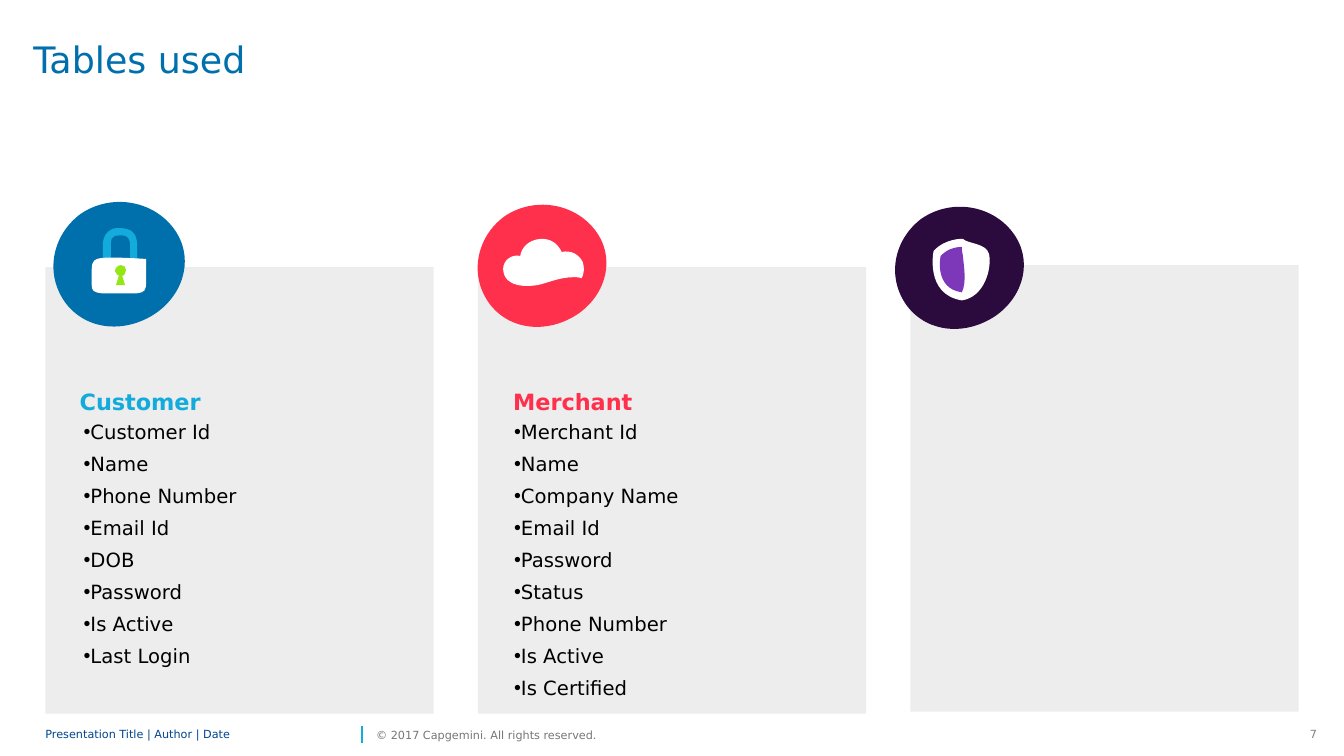
"""Build the slide on the tables used: three grey panels with icons and field lists."""
from dataclasses import dataclass
from lxml.etree import SubElement
from pptx import Presentation
from pptx.dml.color import RGBColor
from pptx.enum.shapes import MSO_CONNECTOR, MSO_SHAPE
from pptx.enum.text import MSO_ANCHOR, MSO_AUTO_SIZE, PP_ALIGN
from pptx.oxml.ns import qn
from pptx.util import Pt

PX = 9144


@dataclass(frozen=True)
class Theme:
    """Colours, fonts and type sizes."""
    font: str = "DejaVu Sans"
    dot: str = "Arial"
    blue: str = "0070AD"
    sky: str = "12ABDB"
    red: str = "FF304C"
    plum: str = "2B0A3D"
    violet: str = "7D38BA"
    lime: str = "95E616"
    navy: str = "00458D"
    panel: str = "EDEDED"
    white: str = "FFFFFF"
    black: str = "000000"
    gray: str = "808080"
    slate: str = "767676"
    title: int = 26
    head: int = 16
    body: int = 14
    foot: int = 8


theme = Theme()
deck = Presentation()
deck.slide_width, deck.slide_height = 1333 * PX, 750 * PX
slide = deck.slides.add_slide(deck.slide_layouts[5])
shapes = slide.shapes


def write(spot, lines, size, color, shape=None, bold=False, anchor=MSO_ANCHOR.TOP,
          align=PP_ALIGN.LEFT, space=None, after=0, dots=False, wrap=True, pad=(0, 0)):
    """Put lines of text in a box at a spot."""
    spot = [n * PX for n in spot]
    shape = shape or shapes.add_textbox(*spot)
    shape.left, shape.top, shape.width, shape.height = spot
    frame = shape.text_frame
    frame.auto_size = MSO_AUTO_SIZE.NONE
    frame.word_wrap = wrap
    frame.vertical_anchor = anchor
    frame.margin_left = frame.margin_right = pad[0] * PX
    frame.margin_top = frame.margin_bottom = pad[1] * PX
    for i, line in enumerate(lines):
        para = frame.add_paragraph() if i else frame.paragraphs[0]
        para.alignment = align
        para.space_after = Pt(after)
        if space:
            para.line_spacing = space
        if dots:
            props = para._p.get_or_add_pPr()
            SubElement(props, qn("a:buFont"), typeface=theme.dot)
            SubElement(props, qn("a:buChar"), char="•")
        run = para.add_run()
        run.text = line
        run.font.name = theme.font
        run.font.size = Pt(size)
        run.font.bold = bold
        run.font.color.rgb = RGBColor.from_string(color)


def draw(group, color, start, rows, left=0, top=0, scale=1):
    """Draw a filled outline; rows of six numbers are curves, rows of two are lines."""
    flat = [n for row in rows for n in row]
    points = [((left + x * scale) * PX, (top + y * scale) * PX)
              for x, y in [start, *zip(flat[::2], flat[1::2])]]
    pen = group.shapes.build_freeform(*points[0])
    pen.add_line_segments(points[1:], close=True)
    form = pen.convert_to_shape()
    form.shadow.inherit = False
    form.fill.solid()
    form.fill.fore_color.rgb = RGBColor.from_string(color)
    form.line.fill.background()
    steps = list(form._element.iter(qn("a:lnTo")))
    for row in rows:
        first, *rest = [steps.pop(0) for _ in range(len(row) // 2)]
        if rest:
            first.tag = qn("a:cubicBezTo")
        for step in rest:
            first.append(step[0])
            step.getparent().remove(step)


for i, top in enumerate((265, 265, 263)):
    panel = shapes.add_shape(MSO_SHAPE.RECTANGLE, (45 + 429 * i) * PX, top * PX,
                             385 * PX, 443 * PX)
    panel.shadow.inherit = False
    panel.fill.solid()
    panel.fill.fore_color.rgb = RGBColor.from_string(theme.panel)
    panel.line.fill.background()

write((1289, 717, 27, 24), ["7"], theme.foot, theme.gray, align=PP_ALIGN.RIGHT,
      wrap=False, pad=(10, 5))

rule = shapes.add_connector(MSO_CONNECTOR.STRAIGHT, 359 * PX, 737 * PX, 359 * PX, 720 * PX)
rule.line.width = Pt(1)
rule.line.color.rgb = RGBColor.from_string(theme.sky)
SubElement(rule._element.spPr, qn("a:effectLst"))

write((45, 717, 309, 24), ["Presentation Title | Author | Date"], theme.foot, theme.navy,
      anchor=MSO_ANCHOR.MIDDLE, space=0.85)
write((373, 717, 243, 24), ["© 2017 Capgemini. All rights reserved."], theme.foot,
      theme.slate, anchor=MSO_ANCHOR.MIDDLE, wrap=False)

write((33, 42, 708, 94), ["Tables used"], theme.title, theme.blue,
      shape=shapes.title, space=0.9)

tables = [
    (79, 83, "Customer", theme.sky,
     ["Customer Id", "Name", "Phone Number", "Email Id", "DOB", "Password",
      "Is Active", "Last Login"]),
    (509, 510, "Merchant", theme.red,
     ["Merchant Id", "Name", "Company Name", "Email Id", "Password", "Status",
      "Phone Number", "Is Active", "Is Certified"]),
]
for left, inner, name, color, fields in tables:
    write((left, 364, 316, 71), [name], theme.head, color, bold=True,
          anchor=MSO_ANCHOR.MIDDLE, space=Pt(18), after=6)
    write((inner, 417, 314, 275), fields, theme.body, theme.black, after=6, dots=True)

blob = [(0, 79, 7, 41, 35, 20), (64, 0, 104, 6, 125, 33),
        (146, 60, 137, 96, 109, 116), (80, 136, 42, 134, 21, 107)]
shield = [(938, 236, 955, 237, 955, 237), (960, 242, 978, 241, 981, 252),
          (984, 267, 976, 295, 954, 298), (917, 292, 926, 249, 926, 249)]
half = [(955, 253, 955, 253, 955, 253), (955, 253, 955, 253, 955, 253),
        (954, 249, 954, 247, 954, 245), (952, 245, 941, 245, 933, 254),
        (933, 254, 926, 286, 954, 290), (959, 280, 956, 264, 955, 253)]
cloud = [(574, 252, 566, 248, 557, 250), (557, 250, 552, 236, 536, 237),
         (524, 238, 517, 246, 516, 254), (509, 252, 499, 257, 499, 267),
         (499, 267, 499, 267, 499, 267), (500, 287, 526, 284, 532, 283),
         (532, 283, 532, 283, 532, 283), (540, 282, 554, 275, 569, 275),
         (572, 275, 575, 275, 577, 276), (579, 272, 580, 266, 578, 260)]
shackle = [(102, 266, 102, 266, 102, 266), (102, 260, 102, 244, 102, 244),
           (102, 241, 102, 231, 112, 227), (116, 226, 120, 226, 125, 227),
           (132, 228, 136, 234, 136, 243), (136, 266, 136, 266, 136, 266),
           (129, 266, 129, 266, 129, 266), (129, 243, 129, 243, 129, 243),
           (129, 238, 127, 235, 124, 234), (120, 233, 117, 234, 114, 234),
           (111, 235, 110, 237, 110, 244), (110, 244, 110, 260, 110, 266)]
lock = [(107, 291, 131, 291, 136, 291), (143, 290, 145, 289, 145, 279),
        (145, 279, 145, 265, 145, 257), (132, 256, 109, 255, 101, 256),
        (94, 257, 91, 258, 91, 268), (91, 282, 91, 282, 91, 282),
        (91, 289, 93, 290, 101, 291)]
hole = [(123, 274, 125, 271, 125, 268), (125, 265, 123, 263, 120, 263),
        (117, 263, 114, 266, 114, 269), (115, 272, 117, 274, 120, 274)]
stem = [(115, 283), (124, 283), (121, 273), (118, 273)]

icons = [
    (theme.plum, 879, 197, 1,
     [(theme.white, (926, 249), shield), (theme.violet, (955, 253), half)]),
    (theme.red, 465, 195, 1, [(theme.white, (578, 260), cloud)]),
    (theme.blue, 44, 192, 1.02,
     [(theme.sky, (110, 266), shackle), (theme.white, (101, 291), lock),
      (theme.lime, (120, 274), hole), (theme.lime, (118, 273), stem)]),
]
for color, left, top, scale, parts in icons:
    icon = shapes.add_group_shape()
    draw(icon, color, (21, 107), blob, left, top, scale)
    for tint, start, rows in parts:
        draw(icon, tint, start, rows)

deck.save("out.pptx")
